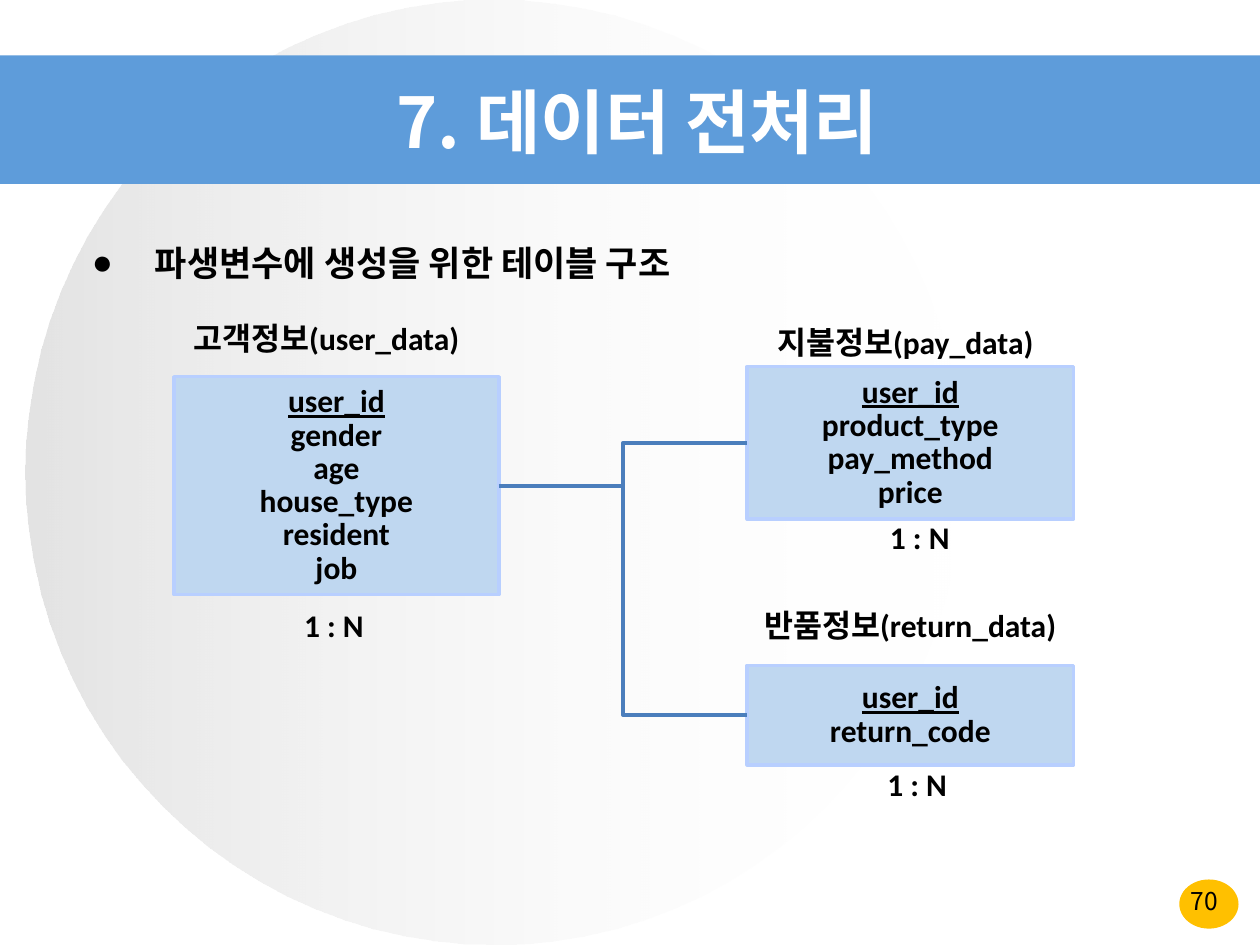
from lxml import etree
from pptx import Presentation
from pptx.dml.color import RGBColor
from pptx.enum import shapes, text
from pptx.oxml import parse_xml
from pptx.oxml.ns import nsdecls, qn
from pptx.util import Inches, Pt

KOREAN, LATIN = "Noto Sans CJK KR", "Calibri"


def color(value):
    """Turn a hex string into a colour."""
    return RGBColor.from_string(value)


def box(left, top, width, height):
    """Return a position and size in lengths from inches."""
    return Inches(left), Inches(top), Inches(width), Inches(height)


def add_run(paragraph, words, size=18, font=LATIN, ink="000000", bold=True, underline=False):
    """Add one formatted run with its East Asian font."""
    run = paragraph.add_run()
    run.text = words
    run.font.size, run.font.name = Pt(size), font
    run.font.bold, run.font.underline = bold, underline
    run.font.color.rgb = color(ink)
    etree.SubElement(run._r.rPr, qn("a:ea")).set("typeface", KOREAN)


def add_panel(slide, kind, area, fill, line=None):
    """Add a flat shape with an optional outline."""
    panel = slide.shapes.add_shape(kind, *box(*area))
    panel.shadow.inherit = False
    panel.fill.solid()
    panel.fill.fore_color.rgb = color(fill)
    if line:
        panel.line.color.rgb = color(line)
        panel.line.width = Pt(2)
    else:
        panel.line.fill.background()
    return panel


def add_backdrop(slide):
    """Place the number badge, fading disc and title band behind the content."""
    oval, rectangle = shapes.MSO_SHAPE.OVAL, shapes.MSO_SHAPE.RECTANGLE
    badge = add_panel(slide, oval, (9.36, 6.98, 0.47, 0.39), "FFC000")
    disc = add_panel(slide, oval, (0.2, 0, 7.44, 7.5), "C0C0C0")
    band = add_panel(slide, rectangle, (0, 0.44, 10, 1.02), "5E9CDA")
    fade = parse_xml(
        f'<a:gradFill {nsdecls("a")} rotWithShape="1"><a:gsLst>'
        '<a:gs pos="0"><a:srgbClr val="C0C0C0"><a:alpha val="44000"/></a:srgbClr></a:gs>'
        '<a:gs pos="100000"><a:srgbClr val="FFFFFF"><a:alpha val="0"/></a:srgbClr></a:gs>'
        '</a:gsLst><a:lin ang="0" scaled="0"/></a:gradFill>')
    solid = disc._element.spPr.find(qn("a:solidFill"))
    solid.getparent().replace(solid, fade)
    for position, part in enumerate((badge, disc, band), start=2):
        slide.shapes._spTree.insert(position, part._element)


def fill_title(slide, area, words):
    """Move and fill the title placeholder."""
    title = slide.shapes.title
    title.left, title.top, title.width, title.height = box(*area)
    frame = title.text_frame
    frame.auto_size = text.MSO_AUTO_SIZE.NONE
    frame.vertical_anchor = text.MSO_ANCHOR.MIDDLE
    frame.paragraphs[0].alignment = text.PP_ALIGN.CENTER
    add_run(frame.paragraphs[0], words, 40, KOREAN, "FFFFFF")


def fill_body(slide, area, words):
    """Move the body placeholder and give it one bulleted line."""
    body = slide.placeholders[1]
    body.left, body.top, body.width, body.height = box(*area)
    body.text_frame.auto_size = text.MSO_AUTO_SIZE.SHAPE_TO_FIT_TEXT
    item = body.text_frame.paragraphs[0]
    item.line_spacing, item.space_before = 1.5, Pt(0)
    properties = item._p.get_or_add_pPr()
    properties.set("marL", str(Inches(0.5)))
    properties.set("indent", str(Inches(-0.5)))
    etree.SubElement(properties, qn("a:buChar")).set("char", "●")
    add_run(item, words, 20, KOREAN)


def add_label(slide, area, words, wrap=True):
    """Add a centred bold label."""
    frame = slide.shapes.add_textbox(*box(*area)).text_frame
    frame.word_wrap = wrap
    label = frame.paragraphs[0]
    label.alignment, label.line_spacing = text.PP_ALIGN.CENTER, Pt(19)
    add_run(label, words)


def add_entity(slide, area, fields, heading, heading_area, ratio_area):
    """Add a table box with its key underlined, its heading and its ratio."""
    entity = add_panel(slide, shapes.MSO_SHAPE.RECTANGLE, area, "BFD7F0", "B8CFFF")
    frame = entity.text_frame
    frame.vertical_anchor = text.MSO_ANCHOR.MIDDLE
    for index, field in enumerate(fields):
        row = frame.add_paragraph() if index else frame.paragraphs[0]
        row.alignment, row.line_spacing = text.PP_ALIGN.CENTER, Pt(19)
        add_run(row, field, underline=index == 0)
    add_label(slide, heading_area, heading, wrap=False)
    add_label(slide, ratio_area, "1 : N")
    return entity


def link(slide, parent, child):
    """Join the right side of one entity to the left side of another."""
    elbow = slide.shapes.add_connector(shapes.MSO_CONNECTOR.ELBOW, 0, 0, 0, 0)
    elbow.begin_connect(parent, 3)
    elbow.end_connect(child, 1)
    elbow.line.color.rgb = color("4B7EBC")
    elbow.line.width = Pt(2.25)
    etree.SubElement(elbow._element.spPr, qn("a:effectLst"))


def add_page_number(slide, area, number):
    """Add the page number over its badge."""
    frame = slide.shapes.add_textbox(*box(*area)).text_frame
    frame.word_wrap = True
    frame.paragraphs[0].alignment = text.PP_ALIGN.CENTER
    add_run(frame.paragraphs[0], number, 14, KOREAN, bold=False)


def main():
    """Build and save the slide."""
    deck = Presentation()
    deck.slide_width, deck.slide_height = Inches(10), Inches(7.5)
    slide = deck.slides.add_slide(deck.slide_layouts[1])
    add_backdrop(slide)
    fill_title(slide, (0.12, 0.58, 9.88, 0.75), "7. 데이터 전처리")
    add_page_number(slide, (9.12, 6.98, 0.88, 0.29), "70")
    fill_body(slide, (0.63, 1.7, 9.33, 0.61), "파생변수에 생성을 위한 테이블 구조")
    user = add_entity(
        slide, (1.38, 2.99, 2.58, 1.73),
        ("user_id", "gender", "age", "house_type", "resident", "job"),
        "고객정보(user_data)", (1.38, 2.52, 2.42, 0.37), (1.64, 4.8, 2.02, 0.3))
    pay = add_entity(
        slide, (5.93, 2.91, 2.59, 1.21),
        ("user_id", "product_type", "pay_method", "price"),
        "지불정보(pay_data)", (6.01, 2.55, 2.35, 0.37), (6.48, 4.1, 1.64, 0.3))
    returns = add_entity(
        slide, (5.93, 5.28, 2.59, 0.79), ("user_id", "return_code"),
        "반품정보(return_data)", (5.91, 4.8, 2.63, 0.37), (6.46, 6.06, 1.64, 0.28))
    for child in (pay, returns):
        link(slide, user, child)
    deck.save("out.pptx")


if __name__ == "__main__":
    main()
